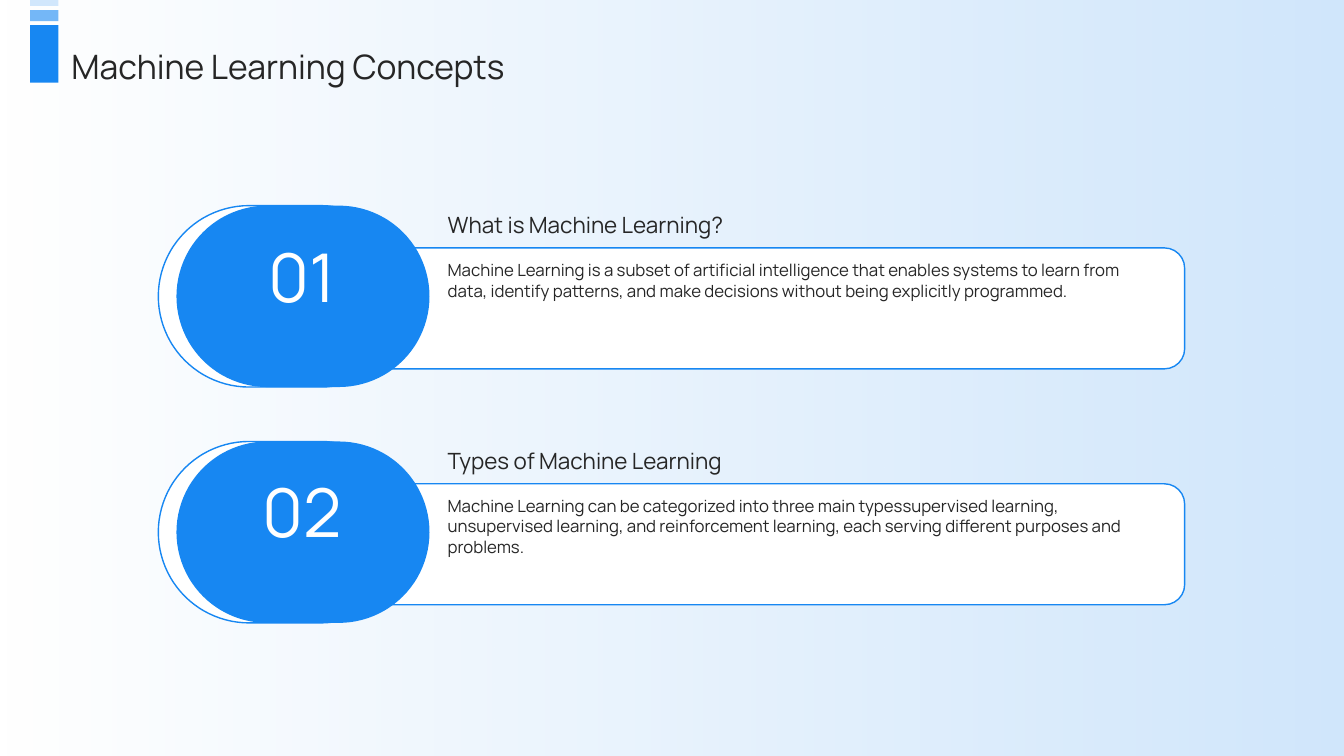
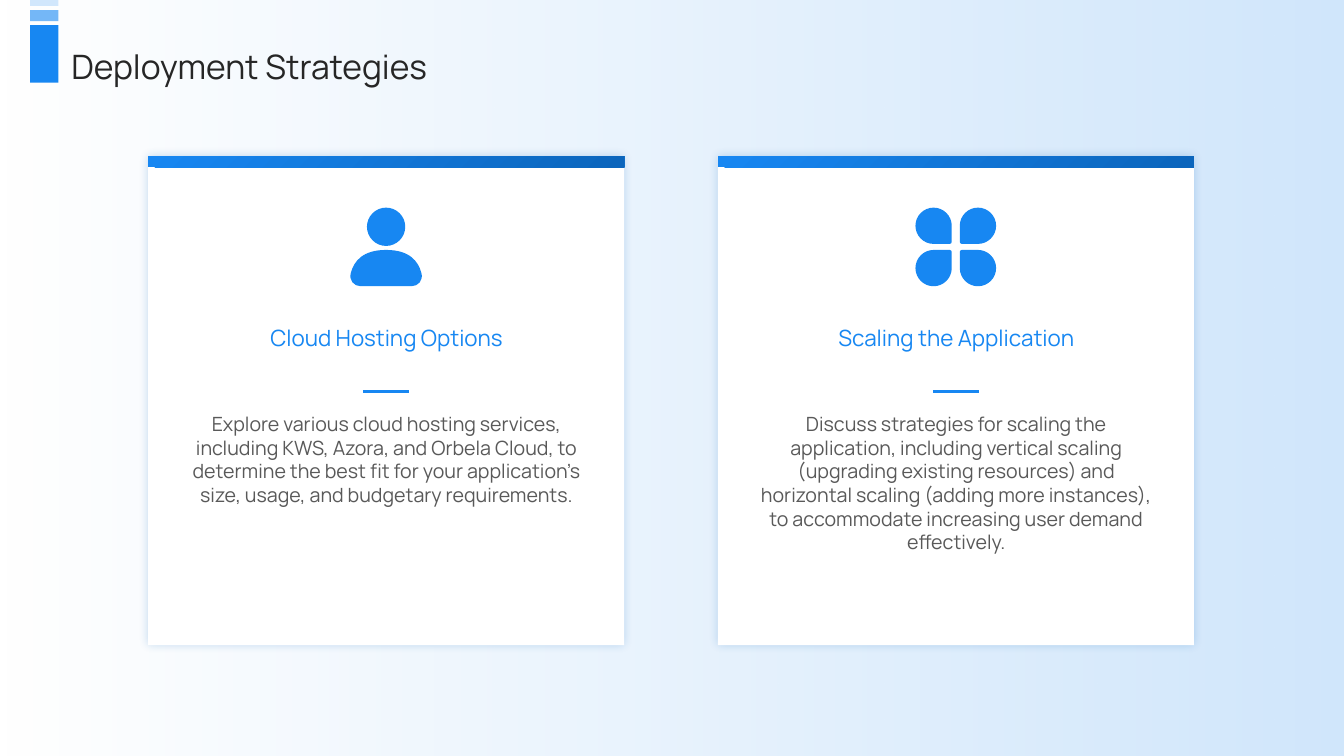
from lxml import etree
from pptx import Presentation
from pptx import util as u
from pptx.dml.color import RGBColor
from pptx.enum import shapes, text
from pptx.oxml.ns import qn

EMU_PER_PX = 9144  # 100 px to the inch
SLIDE_WIDTH, SLIDE_HEIGHT = 1333, 750
FONT = "Manrope"
BLUE, MID_BLUE, PALE_BLUE, DEEP_BLUE = "1787F2", "74B7F7", "D1E7FC", "0B65BC"
WHITE, INK, GREY = "FFFFFF", "262626", "595959"
ROUND = 0.55  # handle length of a quarter circle, as a share of its radius
Preset = shapes.MSO_SHAPE
Anchor = text.MSO_ANCHOR
Align = text.PP_ALIGN


def px(value):
    return u.Emu(round(value * EMU_PER_PX))


def rgb(value):
    return RGBColor.from_string(value)


# Outlines are a start point, then three points (two handles, end) per curve
def straight(start, end):
    return [start, end, end]


def quarter(start, end, corner):
    """Quarter circle whose tangents meet at the corner."""
    handles = [tuple(p + ROUND * (c - p) for p, c in zip(point, corner))
               for point in (start, end)]
    return handles + [end]


def person_icon():
    """Head and shoulders, centred on x = 0."""
    stops = [(0, 206), (19, 225), (0, 244), (-19, 225), (0, 206)]
    corners = [(19, 206), (19, 244), (-19, 244), (-19, 206)]
    head = stops[:1]
    for start, end, corner in zip(stops, stops[1:], corners):
        head += quarter(start, end, corner)
    right = [(0, 248), (23, 248), (32, 259), (35, 271), (37, 278), (32, 284), (25, 284)]
    left = [(-x, y) for x, y in reversed(right)]
    return [head, right + straight(right[-1], left[0]) + left[1:]]


def petals_icon():
    """One petal mirrored into four, centred on x = 0."""
    petal = [(6, 3)] + straight((6, 3), (22, 3))
    petal += quarter((22, 3), (40, 21), (40, 3))
    petal += quarter((40, 21), (22, 39), (40, 39))
    petal += quarter((22, 39), (4, 21), (4, 39))
    petal += straight((4, 21), (4, 5)) + quarter((4, 5), (6, 3), (4, 3))
    return [[(side * x, 245 + level * y) for x, y in petal]
            for side in (-1, 1) for level in (-1, 1)]


class Deck:
    def __init__(self):
        self.presentation = Presentation()
        self.presentation.slide_width = px(SLIDE_WIDTH)
        self.presentation.slide_height = px(SLIDE_HEIGHT)
        self.slide = None

    def new_slide(self, title):
        """Start a slide with the shared background, title and corner bars."""
        self.slide = self.presentation.slides.add_slide(self.presentation.slide_layouts[6])
        backdrop = self.shape(0, 0, SLIDE_WIDTH, SLIDE_HEIGHT, (PALE_BLUE, PALE_BLUE, 180),
                              Preset.FLOWCHART_PROCESS)
        last_color = backdrop._element.spPr.findall(".//" + qn("a:srgbClr"))[-1]
        etree.SubElement(last_color, qn("a:alpha"), val="0")
        box = self.text(title, 61, 41, 1256, 46, 24, inset=(10, 5))
        box.text_frame.auto_size = text.MSO_AUTO_SIZE.SHAPE_TO_FIT_TEXT
        for top, height, color in ((25, 57, BLUE), (10, 11, MID_BLUE), (0, 6, PALE_BLUE)):
            self.shape(30, top, 28, height, color)

    def style(self, shape, fill, line=None):
        """Fill is a colour, or (first colour, last colour, angle)."""
        shape.shadow.inherit = False
        if isinstance(fill, tuple):
            shape.fill.gradient()
            shape.fill.gradient_angle = fill[2]
            for stop, color in zip(shape.fill.gradient_stops, fill):
                stop.color.rgb = rgb(color)
        else:
            shape.fill.solid()
            shape.fill.fore_color.rgb = rgb(fill)
        if line:
            shape.line.color.rgb = rgb(line)
            shape.line.width = u.Pt(1)
        else:
            shape.line.fill.background()

    def shape(self, left, top, width, height, fill, preset=Preset.RECTANGLE,
              line=None, rounding=None):
        shape = self.slide.shapes.add_shape(preset, px(left), px(top), px(width), px(height))
        self.style(shape, fill, line)
        if rounding is not None:
            shape.adjustments[0] = rounding
        return shape

    def glow(self, shape, color):
        effects = shape._element.spPr.find(qn("a:effectLst"))
        shadow = etree.SubElement(effects, qn("a:outerShdw"), blurRad=str(u.Pt(7)),
                                  dist="0", dir="0", algn="ctr", rotWithShape="0")
        shadow_color = etree.SubElement(shadow, qn("a:srgbClr"), val=color)
        etree.SubElement(shadow_color, qn("a:alpha"), val="24000")

    def text(self, words, left, top, width, height, size, color=INK,
             align=Align.LEFT, anchor=Anchor.TOP, inset=(0, 0)):
        box = self.slide.shapes.add_textbox(px(left), px(top), px(width), px(height))
        frame = box.text_frame
        frame.word_wrap = True
        frame.vertical_anchor = anchor
        frame.margin_left = frame.margin_right = px(inset[0])
        frame.margin_top = frame.margin_bottom = px(inset[1])
        paragraph = frame.paragraphs[0]
        paragraph.text = words
        paragraph.alignment = align
        paragraph.font.name = FONT
        paragraph.font.size = u.Pt(size)
        paragraph.font.color.rgb = rgb(color)
        return box

    def rule(self, left, right, y, color):
        connector = self.slide.shapes.add_connector(
            shapes.MSO_CONNECTOR.STRAIGHT, px(left), px(y), px(right), px(y))
        connector.line.color.rgb = rgb(color)
        connector.line.width = u.Pt(2.25)
        properties = connector._element.spPr
        properties.find(qn("a:ln")).set("cap", "sq")
        etree.SubElement(properties, qn("a:effectLst"))

    def icon(self, contours, center, color):
        outlines = [[(px(center + x), px(y)) for x, y in points] for points in contours]
        builder = self.slide.shapes.build_freeform(*outlines[0][0], scale=1.0)
        for index, points in enumerate(outlines):
            if index:
                builder.move_to(*points[0])
            builder.add_line_segments(points[1:], close=True)
        shape = builder.convert_to_shape()
        self.style(shape, color)
        # Join each three line points into one Bézier curve
        lines = shape._element.spPr.findall(".//" + qn("a:lnTo"))
        for first in range(0, len(lines), 3):
            bezier = etree.Element(qn("a:cubicBezTo"))
            lines[first].addprevious(bezier)
            for line in lines[first:first + 3]:
                bezier.append(line[0])
                line.getparent().remove(line)

    def numbered_row(self, top, number, heading, body):
        rounded = Preset.ROUNDED_RECTANGLE
        self.shape(157, top, 251, 180, WHITE, rounded, BLUE, 0.5)
        self.shape(261, top + 42, 914, 120, WHITE, rounded, BLUE)
        self.shape(175, top, 251, 180, BLUE, rounded, rounding=0.5)
        self.text(number, 227, top + 29, 146, 122, 48, WHITE, Align.CENTER)
        self.text(body, 444, top + 54, 707, 98, 12)
        self.text(heading, 444, top - 28, 707, 60, 16, anchor=Anchor.BOTTOM)

    def card(self, left, heading, body):
        top, width = 155, 472
        center = left + width // 2
        self.glow(self.shape(left, top, width, 485, WHITE), DEEP_BLUE)
        self.shape(left, top, width, 11, (BLUE, DEEP_BLUE, 315))
        self.text(heading, left + 39, 295, width - 77, 79, 16, BLUE,
                  Align.CENTER, Anchor.MIDDLE)
        self.text(body, left + 39, 409, width - 77, 189, 14, GREY, Align.CENTER)
        self.rule(center - 21, center + 21, 388, BLUE)
        return center


def main():
    deck = Deck()

    # Slide 1: numbered rows
    deck.new_slide("Machine Learning Concepts")
    rows = (
        ("What is Machine Learning?",
         "Machine Learning is a subset of artificial intelligence that enables systems to "
         "learn from data, identify patterns, and make decisions without being explicitly "
         "programmed."),
        ("Types of Machine Learning",
         "Machine Learning can be categorized into three main typessupervised learning, "
         "unsupervised learning, and reinforcement learning, each serving different "
         "purposes and problems."),
    )
    for index, (heading, body) in enumerate(rows):
        deck.numbered_row(204 + 234 * index, f"{index + 1:02}", heading, body)

    # Slide 2: cards with icons
    deck.new_slide("Deployment Strategies")
    cards = (
        (person_icon(), "Cloud Hosting Options",
         "Explore various cloud hosting services, including KWS, Azora, and Orbela Cloud, "
         "to determine the best fit for your application’s size, usage, and budgetary "
         "requirements."),
        (petals_icon(), "Scaling the Application",
         "Discuss strategies for scaling the application, including vertical scaling "
         "(upgrading existing resources) and horizontal scaling (adding more instances), "
         "to accommodate increasing user demand effectively."),
    )
    for index, (icon, heading, body) in enumerate(cards):
        center = deck.card(147 + 565 * index, heading, body)
        deck.icon(icon, center, BLUE)

    deck.presentation.save("out.pptx")


if __name__ == "__main__":
    main()
